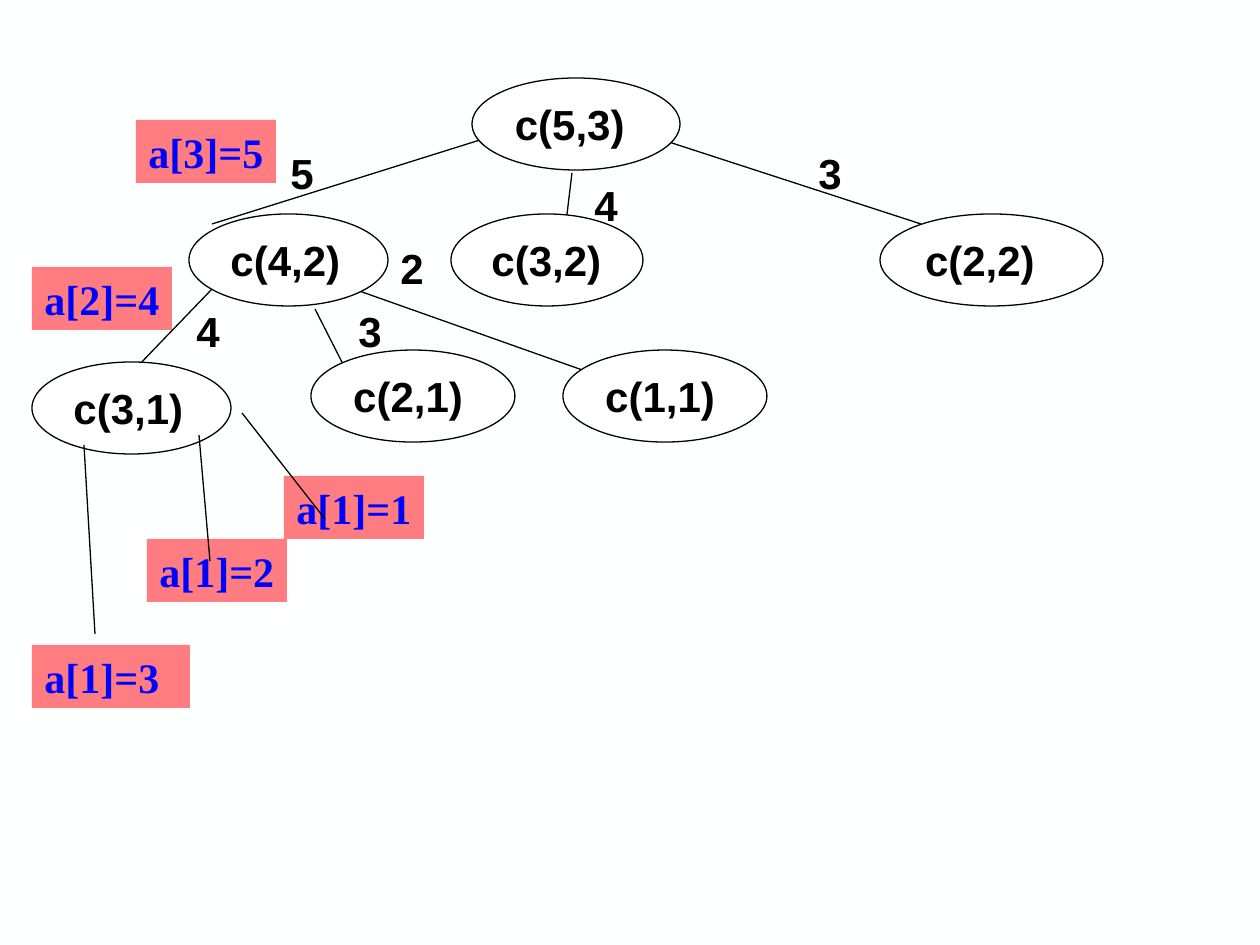
"""Build a slide with the recursion tree of combinations c(5,3)."""
from lxml import etree
from pptx import Presentation
from pptx.dml.color import RGBColor
from pptx.enum.shapes import MSO_CONNECTOR, MSO_SHAPE
from pptx.enum.text import MSO_ANCHOR, MSO_AUTO_SIZE, PP_ALIGN
from pptx.oxml.ns import qn
from pptx.util import Pt

PX = 914400 / 126
STRAIGHT = MSO_CONNECTOR.STRAIGHT
OVAL, RECTANGLE = MSO_SHAPE.OVAL, MSO_SHAPE.RECTANGLE
MIDDLE, TOP = MSO_ANCHOR.MIDDLE, MSO_ANCHOR.TOP
LEFT, JUSTIFY = PP_ALIGN.LEFT, PP_ALIGN.JUSTIFY
FIT_SHAPE = MSO_AUTO_SIZE.SHAPE_TO_FIT_TEXT
NODE_HEIGHT, LABEL_WIDTH, LABEL_HEIGHT = 92, 49, 63


def px(*lengths):
    return [round(length * PX) for length in lengths]


def color(hex_string):
    return RGBColor.from_string(hex_string)


prs = Presentation()
prs.slide_width, prs.slide_height = px(1260, 945)
slide = prs.slides.add_slide(prs.slide_layouts[6])
slide.background.fill.solid()
slide.background.fill.fore_color.rgb = color("FEFFFF")

branches = [
    (348, 287, 588, 372),
    (572, 173, 562, 256),
    (214, 287, 112, 393),
    (496, 135, 212, 224),
    (635, 131, 921, 224),
    (315, 309, 347, 372),
]
leaf_branches = [
    (84, 445, 95, 634),
    (199, 435, 210, 561),
    (242, 413, 325, 519),
]
nodes = [
    ("c(5,3)", 472, 78, 208),
    ("c(4,2)", 189, 214, 199),
    ("c(2,2)", 880, 214, 223),
    ("c(3,1)", 32, 362, 199),
    ("c(3,2)", 451, 214, 192),
    ("c(1,1)", 563, 350, 204),
    ("c(2,1)", 311, 350, 204),
]
choices = [
    ("5", 278, 141),
    ("4", 582, 173),
    ("3", 806, 141),
    ("4", 184, 299),
    ("3", 346, 299),
    ("2", 388, 236),
]
assignments = [
    ("a[3]=5", 136, 120, 140),
    ("a[2]=4", 32, 267, 140),
    ("a[1]=3", 32, 645, 158),
    ("a[1]=1", 284, 476, 140),
    ("a[1]=2", 147, 539, 140),
]

texts = []
for group in (branches, nodes, choices, assignments, leaf_branches):
    for item in group:
        if group in (branches, leaf_branches):
            branch = slide.shapes.add_connector(STRAIGHT, *px(*item))
            branch.line.color.rgb = color("000000")
            branch.line.width = Pt(0.75)
            etree.SubElement(branch.element.spPr, qn("a:effectLst"))
        elif group is nodes:
            label, left, top, width = item
            node = slide.shapes.add_shape(OVAL, *px(left, top, width, NODE_HEIGHT))
            node.shadow.inherit = False
            node.fill.solid()
            node.fill.fore_color.rgb = color("FFFFFF")
            node.line.color.rgb = color("000000")
            node.line.width = Pt(0.75)
            frame_format = {"word_wrap": True, "vertical_anchor": MIDDLE}
            texts.append((node, label, JUSTIFY, "Arial", "000000", frame_format))
        elif group is choices:
            label, left, top = item
            choice = slide.shapes.add_textbox(*px(left, top, LABEL_WIDTH, LABEL_HEIGHT))
            frame_format = {"word_wrap": False, "auto_size": FIT_SHAPE}
            texts.append((choice, label, LEFT, "Arial", "000000", frame_format))
        else:
            label, left, top, width = item
            assignment = slide.shapes.add_shape(RECTANGLE, *px(left, top, width, LABEL_HEIGHT))
            assignment.shadow.inherit = False
            assignment.fill.solid()
            assignment.fill.fore_color.rgb = color("FF7C80")
            assignment.line.fill.background()
            frame_format = {"word_wrap": width > 140, "auto_size": FIT_SHAPE, "vertical_anchor": TOP}
            texts.append((assignment, label, LEFT, "Times New Roman", "0000FF", frame_format))

for holder, label, alignment, typeface, ink, frame_format in texts:
    for attribute, value in frame_format.items():
        setattr(holder.text_frame, attribute, value)
    paragraph = holder.text_frame.paragraphs[0]
    paragraph.alignment = alignment
    run = paragraph.add_run()
    run.text = label
    for attribute, value in {"name": typeface, "size": Pt(24), "bold": True}.items():
        setattr(run.font, attribute, value)
    run.font.color.rgb = color(ink)

prs.save("out.pptx")
